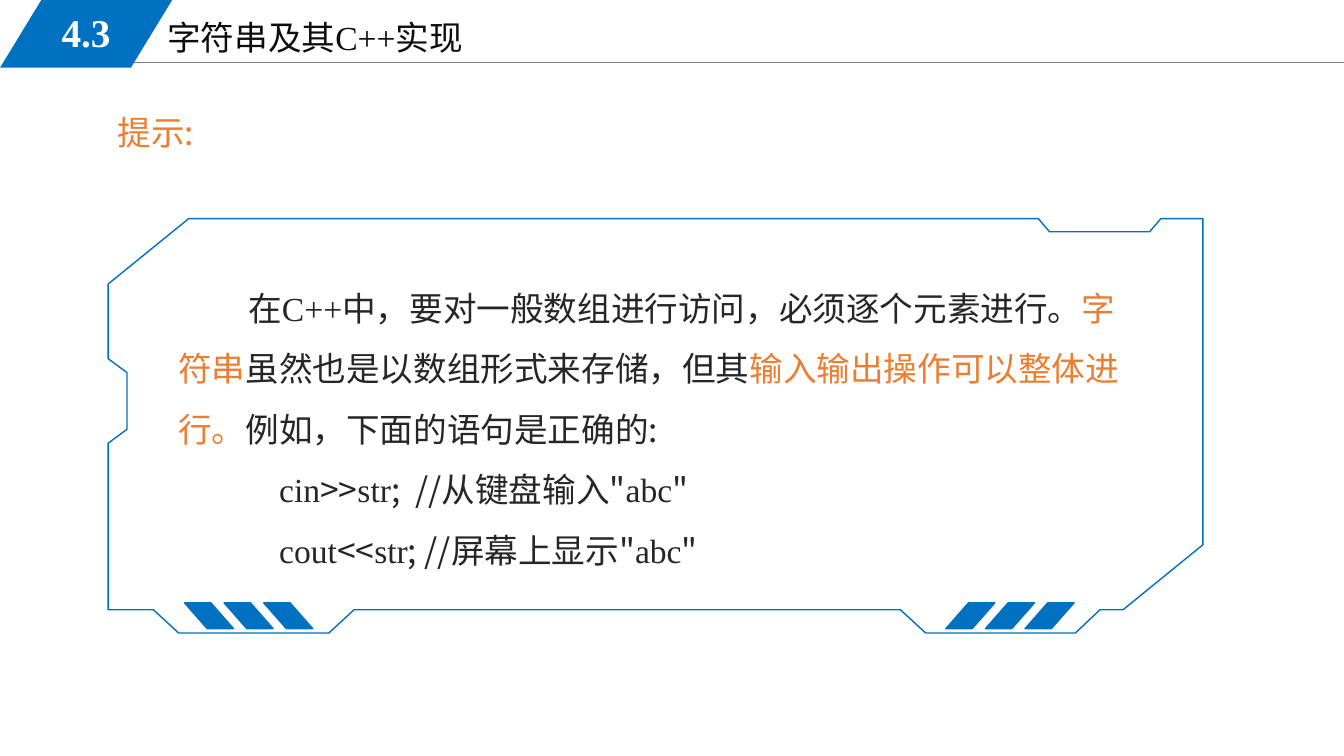
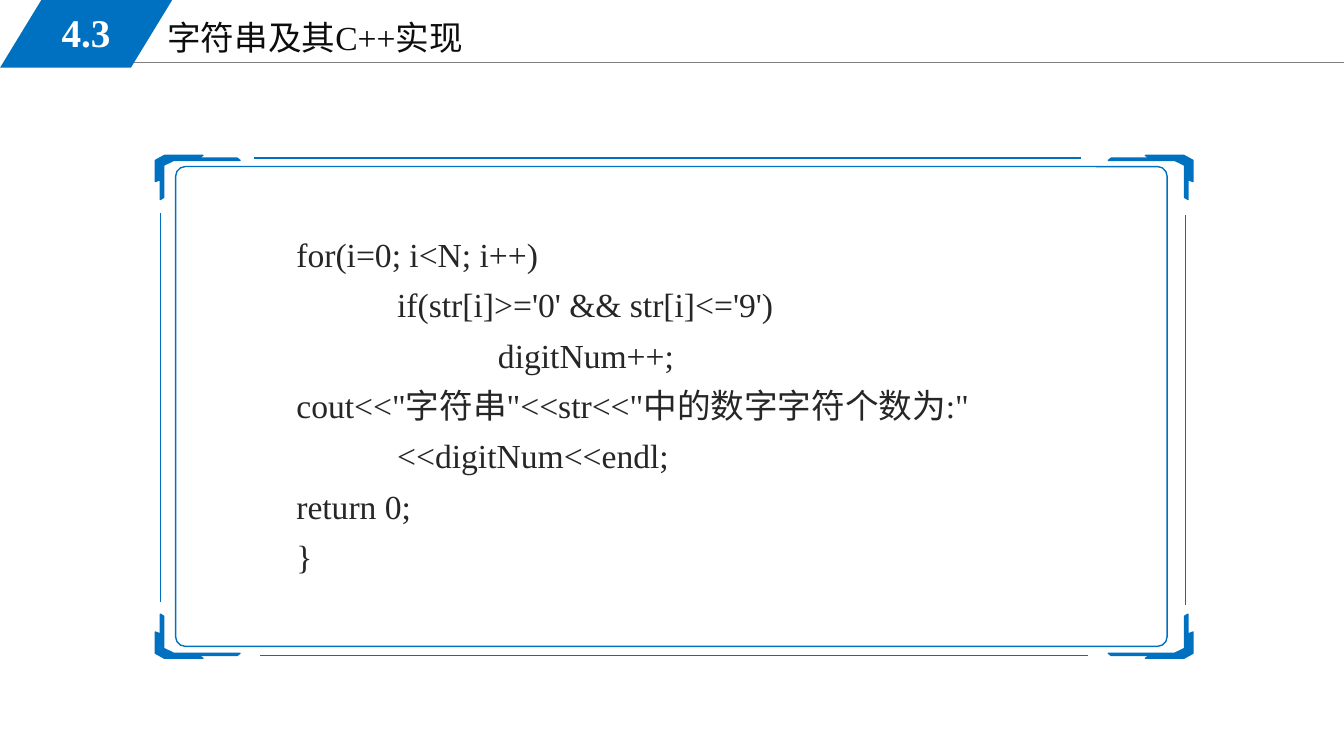
"""Build two slides on strings in C++ with a shared header band."""
from lxml import etree
from pptx import Presentation
from pptx.dml.color import RGBColor
from pptx.enum import shapes, text
from pptx.oxml.ns import qn
from pptx.util import Pt

HUES = {"blue": "0070C0", "gray": "808080", "ink": "262626", "dark": "0D0D0D",
        "white": "FFFFFF", "warm": "ED7D31"}
SERIF, SANS = "Times New Roman", "Noto Sans CJK SC"

FRAME = [(584, 296), (691, 296), (708.5, 279.4), (725, 279.4), (782, 233), (782, 0),
         (752, 0), (744, 9.4), (672.5, 9.4), (664.5, 0), (57.6, 0), (0, 46.8),
         (0, 100), (13.5, 110), (13.5, 150.5), (0, 160.5), (0, 279.4), (32.4, 279.4),
         (50.4, 296), (157.7, 296), (175.7, 279.4), (566, 279.4)]
CORNER = [(6.5, 0), (34, 0), (30.5, 2), (58.5, 2), (60.5, 3.6), (13, 3.6),
          (6, 7), (6, 30), (3.6, 31.5), (3.6, 17.3), (0, 18.7), (0, 3.6)]

NOTES = [
    (50, [("在", SANS, "ink"), ("C++", SERIF, "ink"),
          ("中，要对一般数组进行访问，必须逐个元素进行。", SANS, "ink"),
          ("字符串", SANS, "warm"), ("虽然也是以数组形式来存储，但其", SANS, "ink"),
          ("输入输出操作可以整体进行。", SANS, "warm"),
          ("例如，下面的语句是正确的:", SANS, "ink")]),
    (72, [("cin", SERIF, "ink"), (">>", SANS, "ink"), ("str", SERIF, "ink"),
          (";  //从键盘输入\"", SANS, "ink"), ("abc", SERIF, "ink"), ("\"", SANS, "ink")]),
    (72, [("cout", SERIF, "ink"), ("<<", SANS, "ink"), ("str", SERIF, "ink"),
          ("; //屏幕上显示\"", SANS, "ink"), ("abc", SERIF, "ink"), ("\"", SANS, "ink")]),
]
CODE = [(1, "for(i=0; i<N; i++)"), (2, "if(str[i]>='0' && str[i]<='9')"),
        (3, "digitNum++;"), (1, "cout<<\"字符串\"<<str<<\"中的数字字符个数为:\""),
        (2, "<<digitNum<<endl;"), (1, "return 0;"), (1, "}")]


def tint(hue):
    """Return the named colour."""
    return RGBColor.from_string(HUES[hue])


def paint(shape, fill="blue", line="blue"):
    """Set fill and outline and drop the shadow."""
    shape.shadow.inherit = False
    if fill:
        shape.fill.solid()
        shape.fill.fore_color.rgb = tint(fill)
    else:
        shape.fill.background()
    if line:
        shape.line.color.rgb = tint(line)
        shape.line.width = Pt(1)
    else:
        shape.line.fill.background()
    return shape


def rule(slide, start, end, hue="blue", width=1):
    """Draw a straight line."""
    line = slide.shapes.add_connector(shapes.MSO_CONNECTOR.STRAIGHT,
                                      *map(Pt, start + end))
    line.line.color.rgb = tint(hue)
    line.line.width = Pt(width)
    etree.SubElement(line._element.spPr, qn("a:effectLst"))


def trace(slide, left, top, dots, fill, sx=1, sy=1):
    """Draw a closed outline from an anchor, mirrored by the signs."""
    spots = [(Pt(left + sx * x), Pt(top + sy * y)) for x, y in dots]
    pen = slide.shapes.build_freeform(*spots[0])
    pen.add_line_segments(spots[1:])
    paint(pen.convert_to_shape(), fill)


def write(shape, box, rows, pitch, size=24):
    """Place a text shape and fill it with rows of indent and runs."""
    shape.left, shape.top, shape.width, shape.height = map(Pt, box)
    frame = shape.text_frame
    frame.word_wrap = True
    frame.auto_size = text.MSO_AUTO_SIZE.NONE
    frame.vertical_anchor = text.MSO_ANCHOR.TOP
    frame.margin_left = frame.margin_right = Pt(7.2)
    frame.margin_top = frame.margin_bottom = Pt(3.6)
    for i, (indent, runs) in enumerate(rows):
        para = frame.add_paragraph() if i else frame.paragraphs[0]
        props = para._p.get_or_add_pPr()
        props.set("marL", "0")
        props.set("indent", str(Pt(indent)))
        etree.SubElement(props, qn("a:buNone"))
        para.alignment = text.PP_ALIGN.LEFT
        para.space_before = Pt(0)
        para.line_spacing = Pt(pitch)
        for words, face, hue in runs:
            run = para.add_run()
            run.text = words
            run.font.size = Pt(size)
            run.font.color.rgb = tint(hue)
            run.font.name = face
            asian = etree.SubElement(run._r.get_or_add_rPr(), qn("a:ea"))
            asian.set("typeface", SANS)


def header(slide):
    """Add the title, rule and section badge."""
    write(slide.shapes.title, (112.3, 6.5, 408, 36.7),
          [(0, [("字符串及其C++实现", SERIF, "dark")])], 31)
    rule(slide, (81.4, 44.6), (960, 44.6), "gray", 0.75)
    badge = paint(slide.shapes.add_shape(shapes.MSO_SHAPE.PARALLELOGRAM,
                                         0, 0, Pt(123), Pt(48.4)), line=None)
    badge.adjustments[0] = 0.61
    frame = badge.text_frame
    frame.word_wrap = False
    frame.margin_left = frame.margin_right = frame.margin_top = 0
    frame.margin_bottom = Pt(3.6)
    frame.vertical_anchor = text.MSO_ANCHOR.MIDDLE
    frame.text = "4.3"
    para = frame.paragraphs[0]
    para.alignment = text.PP_ALIGN.CENTER
    font = para.runs[0].font
    font.name, font.size, font.bold = SERIF, Pt(28), True
    font.color.rgb = tint("white")


def stripes(slide, left, top, flip):
    """Draw three slanted bars, leaning the other way when flipped."""
    for i in range(3):
        bar = paint(slide.shapes.add_shape(
            shapes.MSO_SHAPE.PARALLELOGRAM, Pt(left + 28.3 * i), Pt(top),
            Pt(35), Pt(18.4)))
        bar.adjustments[0] = 0.88
        if flip:
            bar._element.spPr.find(qn("a:xfrm")).set("flipH", "1")


def panel(slide, left, top):
    """Draw the notched frame with its stripes."""
    trace(slide, left, top, FRAME, None)
    stripes(slide, left + 598.4, top + 274.4, False)
    stripes(slide, left + 54.6, top + 274.4, True)


def screen(slide, left, top, width, height):
    """Draw the rounded frame with four corners and side rules."""
    right, base = left + width, top + height
    inner = paint(slide.shapes.add_shape(
        shapes.MSO_SHAPE.ROUNDED_RECTANGLE, Pt(left + 14.5), Pt(top + 8),
        Pt(width - 33), Pt(height - 16.5)), None)
    inner.adjustments[0] = 0.02
    for x, sx in ((left, 1), (right, -1)):
        for y, sy in ((top, 1), (base, -1)):
            trace(slide, x, y, CORNER, "blue", sx, sy)
    rule(slide, (left + 70.5, top + 2), (left + 661.5, top + 2))
    rule(slide, (left + 75, base - 2), (left + 666, base - 2))
    rule(slide, (left + 3.6, top + 41), (left + 3.6, top + 319))
    rule(slide, (right - 5.5, top + 42.5), (right - 5.5, top + 321))


def start(deck):
    """Add a slide with its header."""
    slide = deck.slides.add_slide(deck.slide_layouts[1])
    header(slide)
    return slide


def main():
    """Build and save the deck."""
    deck = Presentation()
    deck.slide_width, deck.slide_height = Pt(960), Pt(540)

    tip = start(deck)
    write(tip.shapes.add_textbox(0, 0, 0, 0), (77, 74.2, 118, 36),
          [(0, [("提示:", SANS, "warm")])], 31)
    write(tip.placeholders[1], (120.2, 187.5, 696.2, 225.4), NOTES, 43.2)
    panel(tip, 77.2, 156.2)

    code = start(deck)
    write(code.placeholders[1], (132.5, 156.2, 704, 262),
          [(72 * deep, [(line, SERIF, "ink")]) for deep, line in CODE], 36)
    screen(code, 111, 111, 741.2, 359.2)

    deck.save("out.pptx")


if __name__ == "__main__":
    main()
